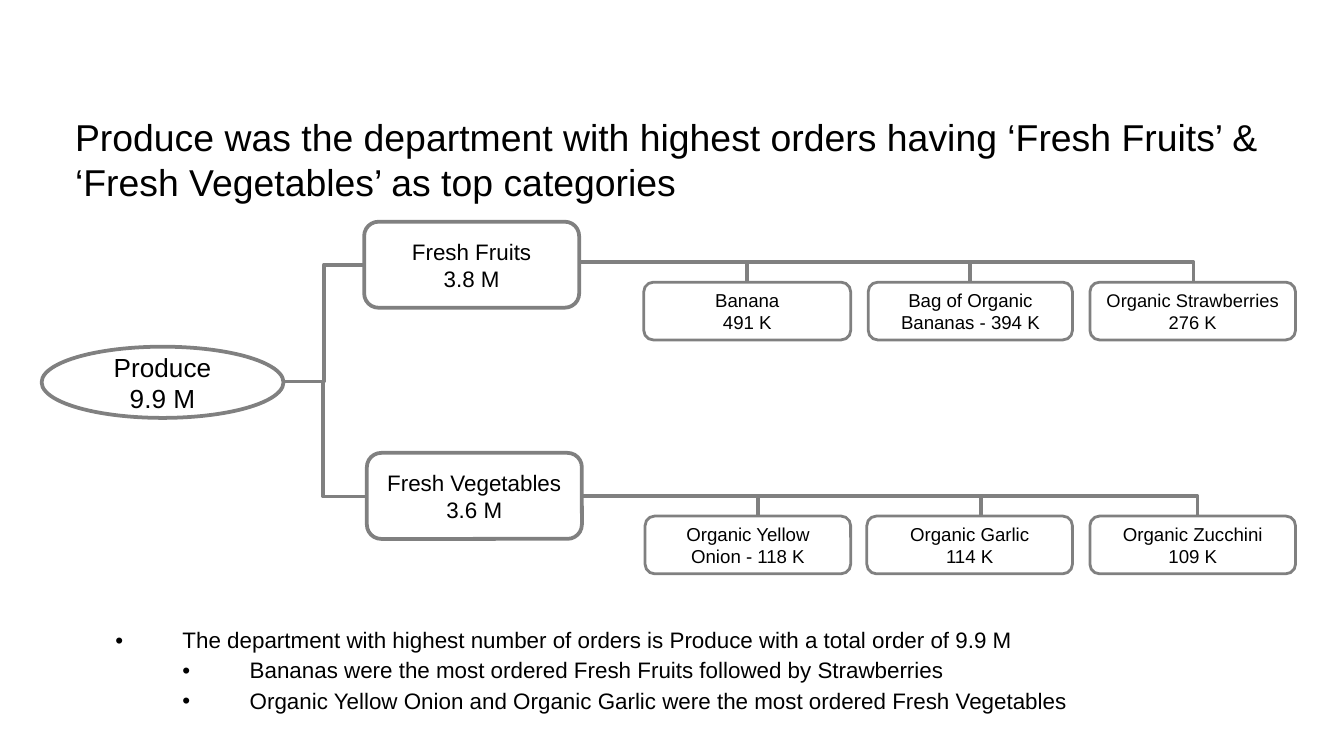
from lxml.etree import SubElement
from pptx import Presentation
from pptx.dml.color import RGBColor
from pptx.enum.shapes import MSO_CONNECTOR, MSO_SHAPE
from pptx.enum.text import MSO_ANCHOR, PP_ALIGN
from pptx.oxml.ns import qn
from pptx.util import Inches, Pt

BLACK = RGBColor(0x00, 0x00, 0x00)
WHITE = RGBColor(0xFF, 0xFF, 0xFF)
GRAY = RGBColor(0x80, 0x80, 0x80)

prs = Presentation()
prs.slide_width = Inches(10)
prs.slide_height = prs.slide_width * 9 // 16
s = prs.slides.add_slide(prs.slide_layouts[6])


def write(sp, text, size, align, anchor):
    tf = sp.text_frame
    tf.word_wrap = True
    tf.vertical_anchor = anchor
    tf.text = text
    for p in tf.paragraphs:
        p.alignment = align
        for r in p.runs:
            r.font.name = "Arial"
            r.font.size = Pt(size)
            r.font.color.rgb = BLACK
    return tf


def connect(kind, x1, y1, x2, y2, preset):
    c = s.shapes.add_connector(kind, Inches(x1), Inches(y1), Inches(x2), Inches(y2))
    c.line.color.rgb = GRAY
    c.line.width = Pt(2)
    spPr = c._element.spPr
    spPr.find(qn("a:prstGeom")).set("prst", preset)
    SubElement(spPr, qn("a:effectLst"))
    return c


sp = s.shapes.add_textbox(Inches(0.46), Inches(0.8), Inches(9.18), Inches(1.05))
write(sp, "Produce was the department with highest orders having ‘Fresh Fruits’ & "
      "‘Fresh Vegetables’ as top categories", 20, PP_ALIGN.LEFT, MSO_ANCHOR.TOP)
sp.text_frame.margin_top = Inches(0.05)

ROUND, OVAL = MSO_SHAPE.ROUNDED_RECTANGLE, MSO_SHAPE.OVAL
nodes = [
    (ROUND, 2.71, 1.65, 1.6, 0.64, 2, 12, "Fresh Fruits\n3.8 M"),
    (ROUND, 2.73, 3.37, 1.6, 0.64, 2, 12, "Fresh Vegetables\n3.6 M"),
    (OVAL, 0.31, 2.58, 1.8, 0.53, 2, 14, "Produce\n9.9 M"),
]
products = [
    (2.1, [(4.79, 1.54, 10, "Banana\n491 K"),
           (6.46, 1.52, 10, "Bag of Organic Bananas - 394 K"),
           (8.11, 1.53, 9.8, "Organic Strawberries\n276 K")]),
    (3.84, [(4.8, 1.53, 10, "Organic Yellow Onion - 118 K"),
            (6.45, 1.53, 10, "Organic Garlic\n114 K"),
            (8.11, 1.53, 10, "Organic Zucchini\n109 K")]),
]
for y, row in products:
    nodes += [(ROUND, x, y, w, 0.43, 1.5, size, text) for x, w, size, text in row]

boxes = {}
for kind, x, y, w, h, weight, size, text in nodes:
    sp = s.shapes.add_shape(kind, Inches(x), Inches(y), Inches(w), Inches(h))
    sp.shadow.inherit = False
    sp.fill.solid()
    sp.fill.fore_color.rgb = WHITE
    sp.line.color.rgb = GRAY
    sp.line.width = Pt(weight)
    write(sp, text, size, PP_ALIGN.CENTER, MSO_ANCHOR.MIDDLE)
    boxes[x, y] = sp

bullets = [
    (0, "The department with highest number of orders is Produce with a total order of 9.9 M"),
    (1, "Bananas were the most ordered Fresh Fruits followed by Strawberries"),
    (1, "Organic Yellow Onion and Organic Garlic were the most ordered Fresh Vegetables"),
]
sp = s.shapes.add_textbox(Inches(0.76), Inches(4.42), Inches(8.57), Inches(1.15))
tf = write(sp, "\n".join(text for _, text in bullets), 12, PP_ALIGN.LEFT, MSO_ANCHOR.MIDDLE)
for p, (level, _) in zip(tf.paragraphs, bullets):
    p.level = level
    p.line_spacing = 0.95
    p.space_before = Pt(2.4)
    pPr = p._p.get_or_add_pPr()
    pPr.set("marL", str(Inches(0.5 * (level + 1))))
    pPr.set("indent", str(Inches(-0.5)))
    SubElement(pPr, qn("a:buFont")).set("typeface", "Arial")
    SubElement(pPr, qn("a:buChar")).set("char", "•")

ELBOW, STRAIGHT = MSO_CONNECTOR.ELBOW, MSO_CONNECTOR.STRAIGHT
for left, right, y, stubs in [(4.31, 8.88, 2.1, (5.56, 7.22)), (4.34, 8.91, 3.84, (5.64, 7.3))]:
    connect(ELBOW, left, y - 0.15, right, y, "bentConnector2")
    for x in stubs:
        c = connect(STRAIGHT, x, y - 0.15, x, y, "line")
        for (bx, by), box in boxes.items():
            if by == y and abs(Inches(x) - box.left - box.width / 2) < Inches(0.01):
                c.end_connect(box, 0)

connect(ELBOW, 2.11, 2.84, 2.71, 1.97, "bentConnector3")
c = connect(ELBOW, 3.0, 3.1, 2.13, 3.42, "bentConnector2")
c._element.spPr.find(qn("a:xfrm")).set("rot", str(270 * 60000))

prs.save("out.pptx")
